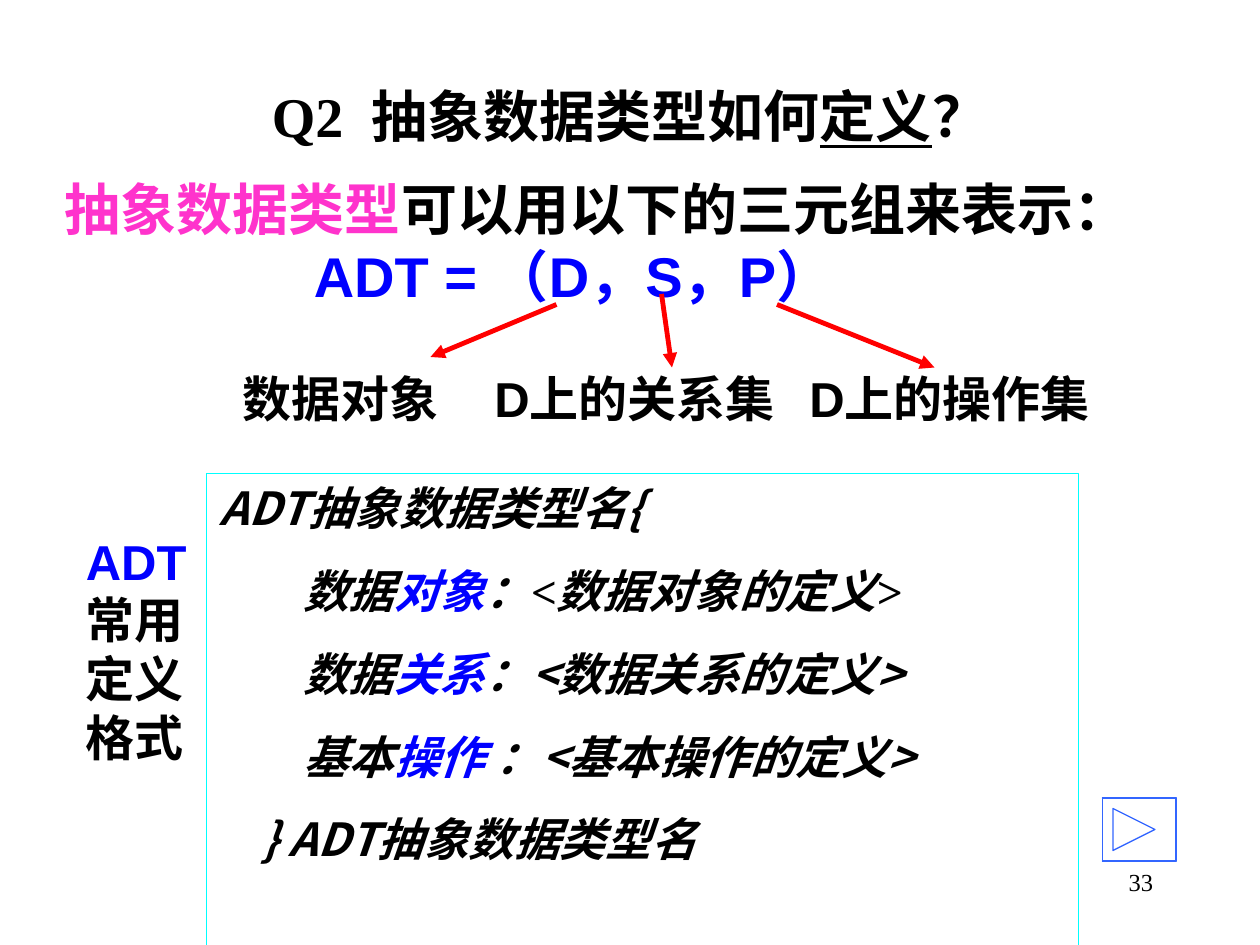
from dataclasses import dataclass

from lxml import etree
from pptx import Presentation
from pptx.dml.color import RGBColor
from pptx.enum.shapes import MSO_CONNECTOR, MSO_SHAPE
from pptx.enum.text import MSO_ANCHOR, MSO_AUTO_SIZE, PP_ALIGN
from pptx.oxml.ns import qn
from pptx.util import Inches, Pt

RECT = MSO_SHAPE.RECTANGLE
LINE = MSO_CONNECTOR.STRAIGHT
MIDDLE = MSO_ANCHOR.MIDDLE
NO_FIT = MSO_AUTO_SIZE.NONE
CENTER, RIGHT = PP_ALIGN.CENTER, PP_ALIGN.RIGHT
UNIT = Inches(10) / 120  # grid of 120 columns by 90 rows


@dataclass(frozen=True)
class Theme:
    ink: str = "000000"
    blue: str = "0000FF"
    pink: str = "FF33CC"
    red: str = "FF0000"
    cyan: str = "00FFFF"
    button: str = "3366FF"
    sans: str = "Arial"
    serif: str = "Times New Roman"
    han: str = "Noto Sans CJK SC"
    head: int = 32
    label: int = 28
    code: int = 26
    small: int = 14


T = Theme()


def grid(*cells):
    return [round(cell * UNIT) for cell in cells]


def rgb(code):
    return RGBColor.from_string(code)


def write(para, parts, size, face, bold=True, italic=False):
    """Fill a paragraph; each part is (text, colour[, font])."""
    for text, color, *other in parts:
        run = para.add_run()
        run.text = text
        font = run.font
        font.size, font.bold, font.italic = Pt(size), bold, italic
        font.name = other[0] if other else face
        font.color.rgb = rgb(color)
        east = etree.SubElement(run._r.get_or_add_rPr(), qn("a:ea"))
        east.set("typeface", T.han)


def indent(para, left, stops=()):
    """Set the left margin and tab stops, in grid columns."""
    props = para._p.get_or_add_pPr()
    props.set("marL", str(grid(left)[0]))
    props.set("indent", "0")
    if stops:
        tabs = etree.SubElement(props, qn("a:tabLst"))
        for stop in grid(*stops):
            etree.SubElement(tabs, qn("a:tab"), pos=str(stop), algn="l")


def text_box(slide, box):
    frame = slide.shapes.add_textbox(*grid(*box)).text_frame
    frame.word_wrap = True
    return frame


def add_title(slide, box):
    title = slide.shapes.title
    title.left, title.top, title.width, title.height = grid(*box)
    frame = title.text_frame
    frame.auto_size, frame.vertical_anchor = NO_FIT, MIDDLE
    para = frame.paragraphs[0]
    para.alignment = CENTER
    parts = [("Q2  抽象数据类型如何", T.ink), ("定义", T.ink), ("？", T.ink)]
    write(para, parts, T.head, T.serif)
    para.runs[1].font.underline = True


def add_arrow(slide, start, end):
    arrow = slide.shapes.add_connector(LINE, *grid(*start, *end))
    arrow.line.color.rgb, arrow.line.width = rgb(T.red), Pt(2.75)
    etree.SubElement(arrow.line._get_or_add_ln(), qn("a:tailEnd"), type="triangle")
    etree.SubElement(arrow._element.spPr, qn("a:effectLst"))


def add_triple(slide, box):
    frame = text_box(slide, box)
    intro = frame.paragraphs[0]
    write(intro, [("抽象数据类型", T.pink), ("可以用以下的三元组来表示：", T.ink)],
          T.head, T.sans)

    # Formula
    formula = frame.add_paragraph()
    indent(formula, 23.7)
    write(formula, [("ADT = （D，S，P）", T.blue)], T.head, T.sans)

    # Meaning of each member
    labels = frame.add_paragraph()
    indent(labels, 16.9, (39.9, 73))
    labels.space_before = Pt(34)
    write(labels, [("数据对象\tD上的关系集\tD上的操作集", T.ink)], T.label, T.sans)

    # Arrows from member to meaning
    left, top = box[:2]
    for x1, y1, x2, y2 in ((48, 13, 36, 18), (58, 12, 59, 19), (69, 13, 84, 19)):
        add_arrow(slide, (left + x1, top + y1), (left + x2, top + y2))


def add_code(slide, box):
    shape = slide.shapes.add_shape(RECT, *grid(*box))
    shape.shadow.inherit = False
    shape.fill.background()
    shape.line.color.rgb, shape.line.width = rgb(T.cyan), Pt(0.75)
    frame = shape.text_frame
    frame.word_wrap, frame.vertical_anchor = True, MSO_ANCHOR.TOP
    rows = [
        (0, [("ADT抽象数据类型名{", T.ink)]),
        (8, [("数据", T.ink), ("对象", T.blue), ("：", T.ink),
             ("<数据对象的定义>", T.ink, T.serif)]),
        (8, [("数据", T.ink), ("关系", T.blue), ("：<数据关系的定义>", T.ink)]),
        (8, [("基本", T.ink), ("操作", T.blue), (" ：<基本操作的定义>", T.ink)]),
        (4, [("} ADT抽象数据类型", T.ink), ("名", T.ink, T.serif)]),
    ]
    for i, (left, parts) in enumerate(rows):
        para = frame.add_paragraph() if i else frame.paragraphs[0]
        para.alignment = PP_ALIGN.LEFT
        indent(para, left)
        if i:
            para.space_before = Pt(16.2)
        write(para, parts, T.code, T.han, italic=True)


def add_side(slide, box):
    para = text_box(slide, box).paragraphs[0]
    write(para, [("ADT", T.blue), ("常用定义格式", T.ink)], T.label, T.sans)


def add_button(slide, box):
    left, top, wide, high = box
    edge = 0.4
    outer = [(0, 0), (wide, 0), (wide, high), (0, high)]
    inner = [(edge, edge), (wide - edge, edge),
             (wide - edge, high - edge), (edge, high - edge)]
    sides = [[outer[i], outer[(i + 1) % 4], inner[(i + 1) % 4], inner[i]]
             for i in range(4)]
    play = [(1.5, 1), (5.4, high / 2), (1.5, high - 1)]
    paths = [[(left + x, top + y) for x, y in path]
             for path in [outer, *sides, play]]
    pen = slide.shapes.build_freeform(*paths[0][0], scale=UNIT)
    for i, path in enumerate(paths):
        if i:
            pen.move_to(*path[0])
        pen.add_line_segments(path[1:], close=True)
    shape = pen.convert_to_shape()
    shape.shadow.inherit = False
    shape.fill.background()
    shape.line.color.rgb, shape.line.width = rgb(T.button), Pt(0.75)


def add_number(slide, box):
    para = text_box(slide, box).paragraphs[0]
    para.alignment = RIGHT
    write(para, [("33", T.ink)], T.small, T.serif, bold=False)


def main():
    deck = Presentation()
    deck.slide_width, deck.slide_height = Inches(10), Inches(7.5)
    slide = deck.slides.add_slide(deck.slide_layouts[5])
    add_number(slide, (86, 82, 25, 6))
    add_title(slide, (9, 8, 102, 6))
    add_triple(slide, (5, 16, 110, 30.8))
    add_code(slide, (19.7, 45.1, 83, 53.6))
    add_side(slide, (7, 50, 13, 23.6))
    add_button(slide, (105, 76, 7, 6))
    deck.save("out.pptx")


if __name__ == "__main__":
    main()
